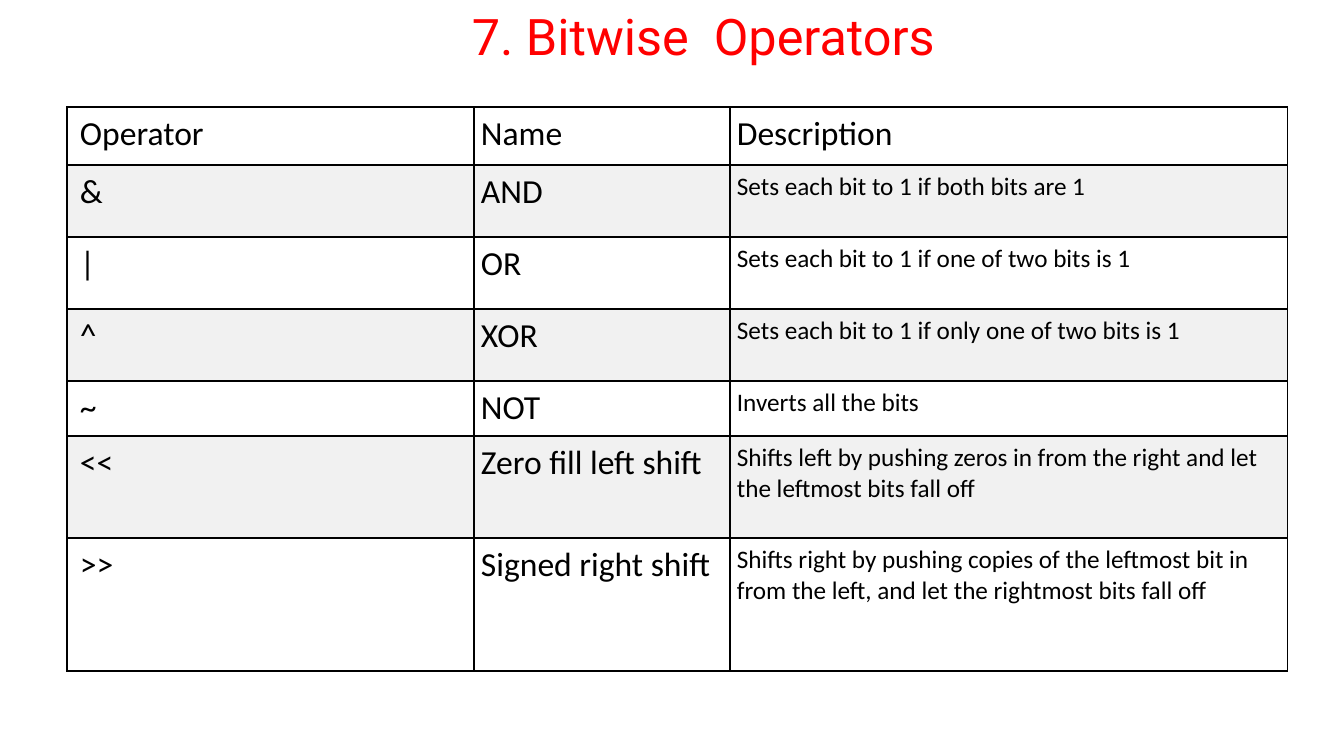
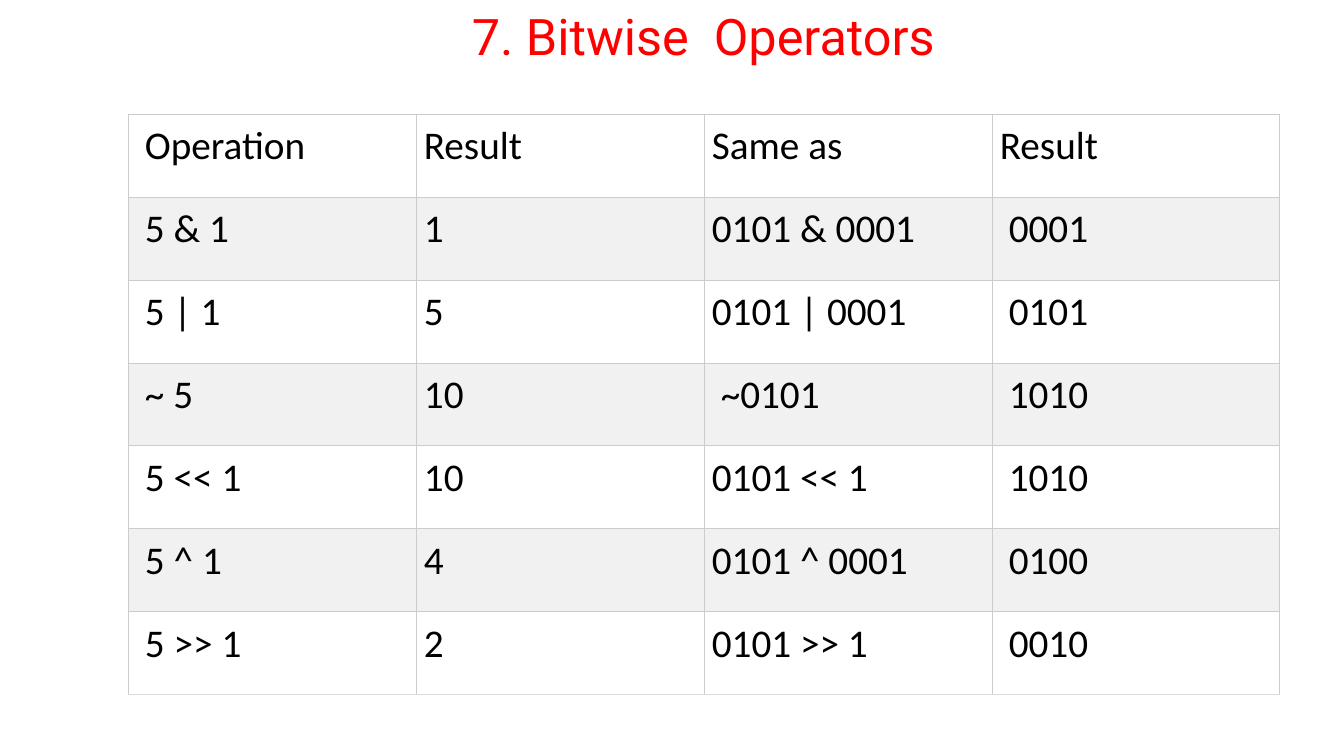
from lxml.etree import SubElement
from pptx import Presentation
from pptx.dml.color import RGBColor
from pptx.enum.text import MSO_AUTO_SIZE
from pptx.oxml.ns import qn
from pptx.util import Pt

PX = 914400 / 100.8
RED = RGBColor(0xFF, 0, 0)
BLACK = RGBColor(0, 0, 0)
WHITE = RGBColor(0xFF, 0xFF, 0xFF)
PALE = RGBColor(0xF1, 0xF1, 0xF1)
GREY = RGBColor(0xCC, 0xCC, 0xCC)
LIGHT = RGBColor(0xDD, 0xDD, 0xDD)
NBSP = "\u00a0"


def px(n):
    return round(n * PX)


def style(run, name, size, color):
    for key, value in {"name": name, "size": Pt(size)}.items():
        setattr(run.font, key, value)
    run.font.color.rgb = color


names = [
    ["Operator", "Name", "Description"],
    ["&", "AND", "Sets each bit to 1 if both bits are 1"],
    ["|", "OR", "Sets each bit to 1 if one of two bits is 1"],
    ["^", "XOR", "Sets each bit to 1 if only one of two bits is 1"],
    ["~", "NOT", "Inverts all the bits"],
    ["<<", "Zero fill left shift",
     "Shifts left by pushing zeros in from the right and let the leftmost bits fall off"],
    [">>", "Signed right shift",
     "Shifts right by pushing copies of the leftmost bit in from the left, "
     "and let the rightmost bits fall off"],
]
sums = [
    ["Operation", "Result", "Same as", "Result"],
    ["5 & 1", "1", "0101 & 0001", NBSP + "0001"],
    ["5 | 1", "5", "0101 | 0001", NBSP + "0101"],
    ["~ 5", "10", NBSP + "~0101", NBSP + "1010"],
    ["5 << 1", "10", "0101 << 1", NBSP + "1010"],
    ["5 ^ 1", "4", "0101 ^ 0001", NBSP + "0100"],
    ["5 >> 1", "2", "0101 >> 1", NBSP + "0010"],
]
pages = [
    {"rows": names, "left": 67, "top": 107, "wide": [407, 256, 558],
     "high": [58, 72, 72, 72, 54, 102, 133], "size": 24, "small": 18,
     "pad": 7, "first": 13, "after": 0, "line": 1, "edge": BLACK, "base": BLACK},
    {"rows": sums, "left": 128, "top": 114, "wide": [288] * 4,
     "high": [83] * 7, "size": 28, "small": 28,
     "pad": 8, "first": 17, "after": 6, "line": 0.75, "edge": GREY, "base": LIGHT},
]

deck = Presentation()
deck.slide_width, deck.slide_height = px(1344), px(756)

for page in pages:
    slide = deck.slides.add_slide(deck.slide_layouts[6])
    rows, wide, high = page["rows"], page["wide"], page["high"]
    last = len(rows) - 1
    grid = slide.shapes.add_table(
        len(rows), len(wide), px(page["left"]), px(page["top"]),
        px(sum(wide)), px(sum(high))).table
    grid.first_row = grid.horz_banding = False
    for col, width in zip(grid.columns, wide):
        col.width = px(width)
    for row, height in zip(grid.rows, high):
        row.height = px(height)

    for r, texts in enumerate(rows):
        for c, text in enumerate(texts):
            cell = grid.cell(r, c)
            pad = px(page["pad"])
            sides = {"margin_left": px(page["first"]) if c == 0 else pad,
                     "margin_right": pad, "margin_top": pad, "margin_bottom": pad}
            for key, value in sides.items():
                setattr(cell, key, value)
            para = cell.text_frame.paragraphs[0]
            para.space_after = Pt(page["after"])
            run = para.add_run()
            run.text = text
            small = r > 0 and c == 2
            style(run, "Calibri", page["small" if small else "size"], BLACK)

            props = cell._tc.get_or_add_tcPr()
            for tag in ("lnL", "lnR", "lnT", "lnB"):
                tint = page["base"] if r == last and tag == "lnB" else page["edge"]
                line = SubElement(props, qn("a:" + tag), w=str(Pt(page["line"])))
                fill = SubElement(line, qn("a:solidFill"))
                SubElement(fill, qn("a:srgbClr"), val=str(tint))
            cell.fill.solid()
            cell.fill.fore_color.rgb = PALE if r % 2 else WHITE

    frame = slide.shapes.add_textbox(px(462), 0, px(496), px(72)).text_frame
    for key, value in {"word_wrap": False,
                       "auto_size": MSO_AUTO_SIZE.SHAPE_TO_FIT_TEXT}.items():
        setattr(frame, key, value)
    title = frame.paragraphs[0].add_run()
    title.text = "7. Bitwise  Operators "
    style(title, "Roboto", 36, RED)

deck.save("out.pptx")
